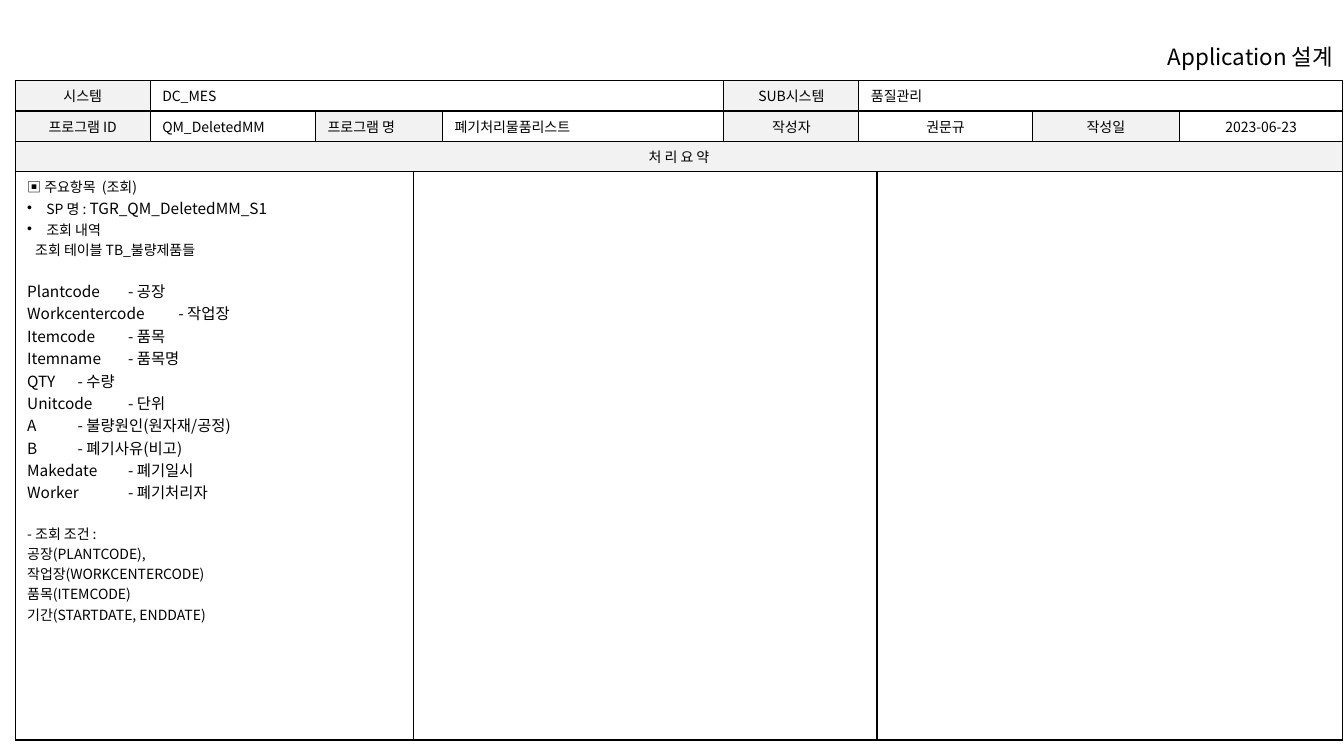
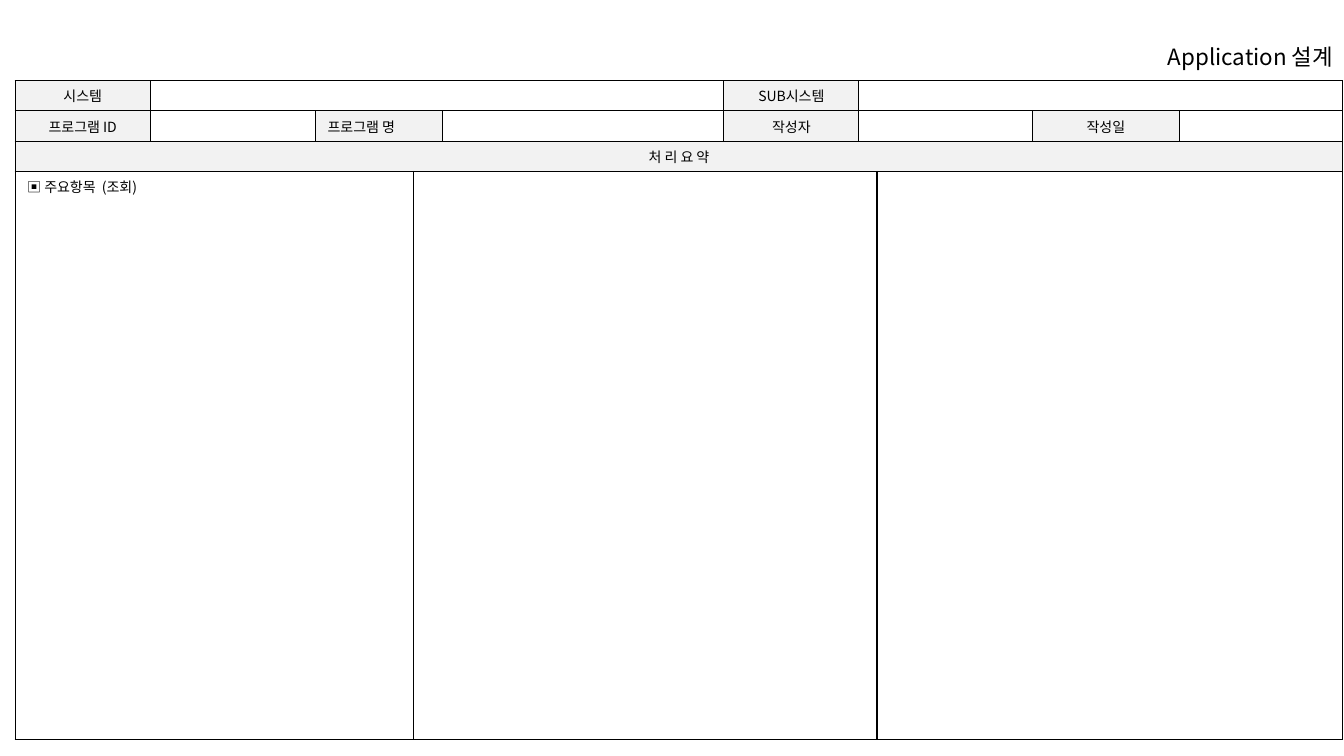
from typing import NamedTuple, Optional

from lxml.etree import SubElement
from pptx import Presentation
from pptx.dml.color import RGBColor
from pptx.enum.text import MSO_ANCHOR as Anchor, PP_ALIGN as Align
from pptx.oxml.ns import qn
from pptx.util import Inches, Pt

# Shared style
FONT = "Noto Sans CJK KR"
BLACK = RGBColor(0x00, 0x00, 0x00)
LABEL_GRAY = RGBColor(0xF2, 0xF2, 0xF2)
BASE_SIZE = 10
FIELD_SIZE = 11
BLANK_LINE = 14.5
BORDER_PT = 1

# Form grid, in inches
COLUMNS = (1.34, 1.64, 0.97, 0.29, 2.79, 1.34, 0.18, 1.54, 1.46, 1.62)
ROWS = (0.3, 0.3, 0.3, 5.64)


class Slot(NamedTuple):
    """One cell of the form; a key marks a cell filled in per program."""
    row: int
    column: int
    span: int = 1
    label: str = ""
    key: str = ""
    align: Align = Align.LEFT


class Line(NamedTuple):
    """One paragraph of the summary, as pieces of text with their sizes."""
    pieces: tuple[tuple[str, int], ...]
    bullet: bool = False
    indent: float = 0
    before: float = 0
    tab: Optional[float] = None


class Field(NamedTuple):
    """A queried column, its meaning and where the meaning starts."""
    name: str
    meaning: str
    start: float


FORM = (
    Slot(0, 0, label="시스템", align=Align.CENTER),
    Slot(0, 1, 4, key="system"),
    Slot(0, 5, label="SUB시스템", align=Align.CENTER),
    Slot(0, 6, 4, key="subsystem"),
    Slot(1, 0, label="프로그램 ID", align=Align.CENTER),
    Slot(1, 1, key="program_id"),
    Slot(1, 2, 2, label="프로그램 명"),
    Slot(1, 4, key="program_name"),
    Slot(1, 5, label="작성자", align=Align.CENTER),
    Slot(1, 6, 2, key="author", align=Align.CENTER),
    Slot(1, 8, label="작성일", align=Align.CENTER),
    Slot(1, 9, key="date", align=Align.CENTER),
    Slot(2, 0, 10, label="처 리 요 약", align=Align.CENTER),
    Slot(3, 0, 3, key="summary"),
    Slot(3, 3, 4, key="middle"),
    Slot(3, 7, 3, key="right"),
)


def plain(text: str, **layout) -> Line:
    return Line(((text, BASE_SIZE),), **layout)


# Content
HEADING = plain("▣ 주요항목  (조회)")
FIELDS = (
    Field("Plantcode", "공장", 1.06),
    Field("Workcentercode", "작업장", 1.2),
    Field("Itemcode", "품목", 1.05),
    Field("Itemname", "품목명", 1.07),
    Field("QTY", "수량", 0.9),
    Field("Unitcode", "단위", 1.02),
    Field("A", "불량원인(원자재/공정)", 0.85),
    Field("B", "폐기사유(비고)", 0.86),
    Field("Makedate", "폐기일시", 1.04),
    Field("Worker", "폐기처리자", 0.99),
)
FIELD_LINES = tuple(
    Line(((f"{field.name}\t- {field.meaning}", FIELD_SIZE),), tab=field.start,
         before=0 if position else BLANK_LINE)
    for position, field in enumerate(FIELDS)
)
SUMMARY = (
    HEADING,
    Line((("SP 명 : ", BASE_SIZE), ("TGR_QM_DeletedMM_S1", FIELD_SIZE)), bullet=True),
    plain("조회 내역", bullet=True),
    plain("조회 테이블 TB_불량제품들", indent=0.08),
    *FIELD_LINES,
    plain("- 조회 조건 :", before=BLANK_LINE),
    plain("공장(PLANTCODE),"),
    plain("작업장(WORKCENTERCODE)"),
    plain("품목(ITEMCODE)"),
    plain("기간(STARTDATE, ENDDATE)"),
)
PROGRAMS = (
    {
        "system": (plain("DC_MES"),),
        "subsystem": (plain("품질관리"),),
        "program_id": (plain("QM_DeletedMM"),),
        "program_name": (plain("폐기처리물품리스트"),),
        "author": (plain("권문규"),),
        "date": (plain("2023-06-23"),),
        "summary": SUMMARY,
    },
    {"summary": (HEADING,)},
)


# Text
def add_text(paragraph, text: str, *, size: float = BASE_SIZE,
             color: RGBColor = BLACK, align: Align = Align.LEFT) -> None:
    paragraph.alignment = align
    run = paragraph.add_run()
    run.text = text
    run.font.size = Pt(size)
    run.font.name = FONT
    run.font.color.rgb = color
    SubElement(run.font._element, qn("a:ea"), typeface=FONT)


def lay_out(paragraph, line: Line) -> None:
    paragraph.space_before = Pt(line.before)
    properties = paragraph._p.get_or_add_pPr()
    if line.bullet:
        properties.set("marL", str(Inches(0.19)))
        properties.set("indent", str(-Inches(0.19)))
        SubElement(properties, qn("a:buFont"), typeface="Arial")
        SubElement(properties, qn("a:buChar"), char="•")
    else:
        properties.set("marL", str(Inches(line.indent)))
        properties.set("indent", "0")
    if line.tab is not None:
        stops = SubElement(properties, qn("a:tabLst"))
        SubElement(stops, qn("a:tab"), pos=str(Inches(line.tab)), algn="l")


def write_lines(frame, lines: tuple[Line, ...], align: Align) -> None:
    if not lines:
        SubElement(frame.paragraphs[0]._p, qn("a:endParaRPr"), sz=str(BASE_SIZE * 100))
    for position, line in enumerate(lines):
        paragraph = frame.add_paragraph() if position else frame.paragraphs[0]
        for text, size in line.pieces:
            add_text(paragraph, text, size=size, align=align)
        lay_out(paragraph, line)


# Form table
def add_borders(cell) -> None:
    properties = cell._tc.get_or_add_tcPr()
    for side in ("lnL", "lnR", "lnT", "lnB"):
        border = SubElement(properties, qn(f"a:{side}"), w=str(Pt(BORDER_PT)))
        fill = SubElement(border, qn("a:solidFill"))
        SubElement(fill, qn("a:srgbClr"), val=str(BLACK))


def fill_slot(table, slot: Slot, program: dict[str, tuple[Line, ...]]) -> None:
    cell = table.cell(slot.row, slot.column)
    last_column = slot.column + slot.span - 1
    if slot.span > 1:
        cell.merge(table.cell(slot.row, last_column))
    for column in range(slot.column, last_column + 1):
        add_borders(table.cell(slot.row, column))
    cell.margin_left = cell.margin_right = Inches(0.12)
    cell.margin_top = cell.margin_bottom = Inches(0.05)
    cell.vertical_anchor = Anchor.TOP if slot.row == 3 else Anchor.MIDDLE
    if slot.label:
        cell.fill.solid()
        cell.fill.fore_color.rgb = LABEL_GRAY
        lines = (plain(slot.label),)
    else:
        cell.fill.background()
        lines = program.get(slot.key, ())
    write_lines(cell.text_frame, lines, slot.align)


def add_form(slide, program: dict[str, tuple[Line, ...]]) -> None:
    table = slide.shapes.add_table(
        len(ROWS), len(COLUMNS), Inches(0.15), Inches(0.8),
        Inches(sum(COLUMNS)), Inches(sum(ROWS))).table
    table.first_row = table.horz_banding = False
    for column, width in zip(table.columns, COLUMNS):
        column.width = Inches(width)
    for row, height in zip(table.rows, ROWS):
        row.height = Inches(height)
    for slot in FORM:
        fill_slot(table, slot, program)


# Title
def add_title(slide) -> None:
    title = slide.shapes.add_textbox(
        Inches(10.35), Inches(0.4), Inches(2.97), Inches(0.33)).text_frame
    title.word_wrap = True
    title.vertical_anchor = Anchor.MIDDLE
    title.margin_top = title.margin_bottom = 0
    add_text(title.paragraphs[0], "Application 설계", size=16, align=Align.RIGHT)


# Slides
deck = Presentation()
deck.slide_width, deck.slide_height = Inches(13.33), Inches(7.5)
for program in PROGRAMS:
    slide = deck.slides.add_slide(deck.slide_layouts[6])
    add_form(slide, program)
    add_title(slide)
deck.save("out.pptx")
